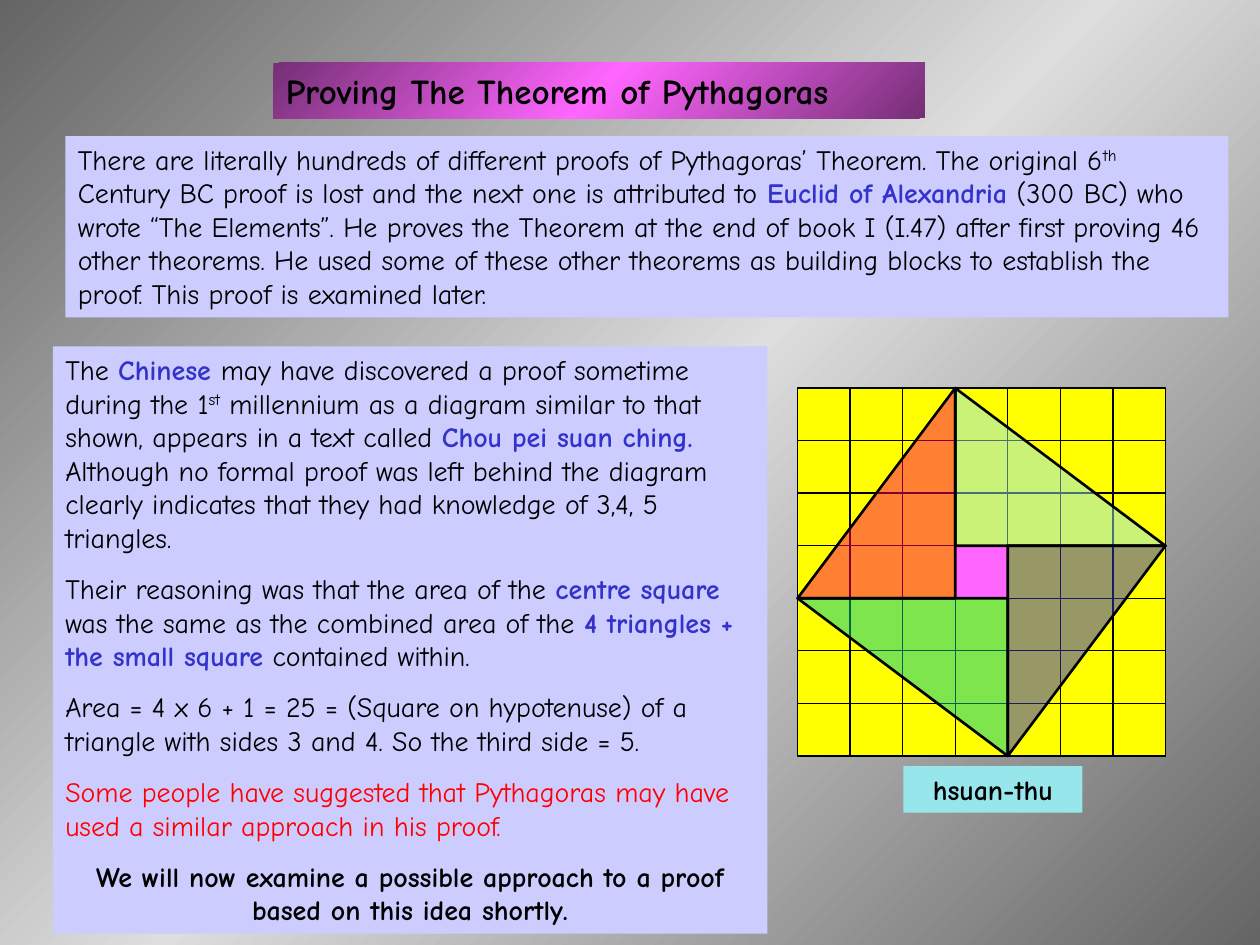
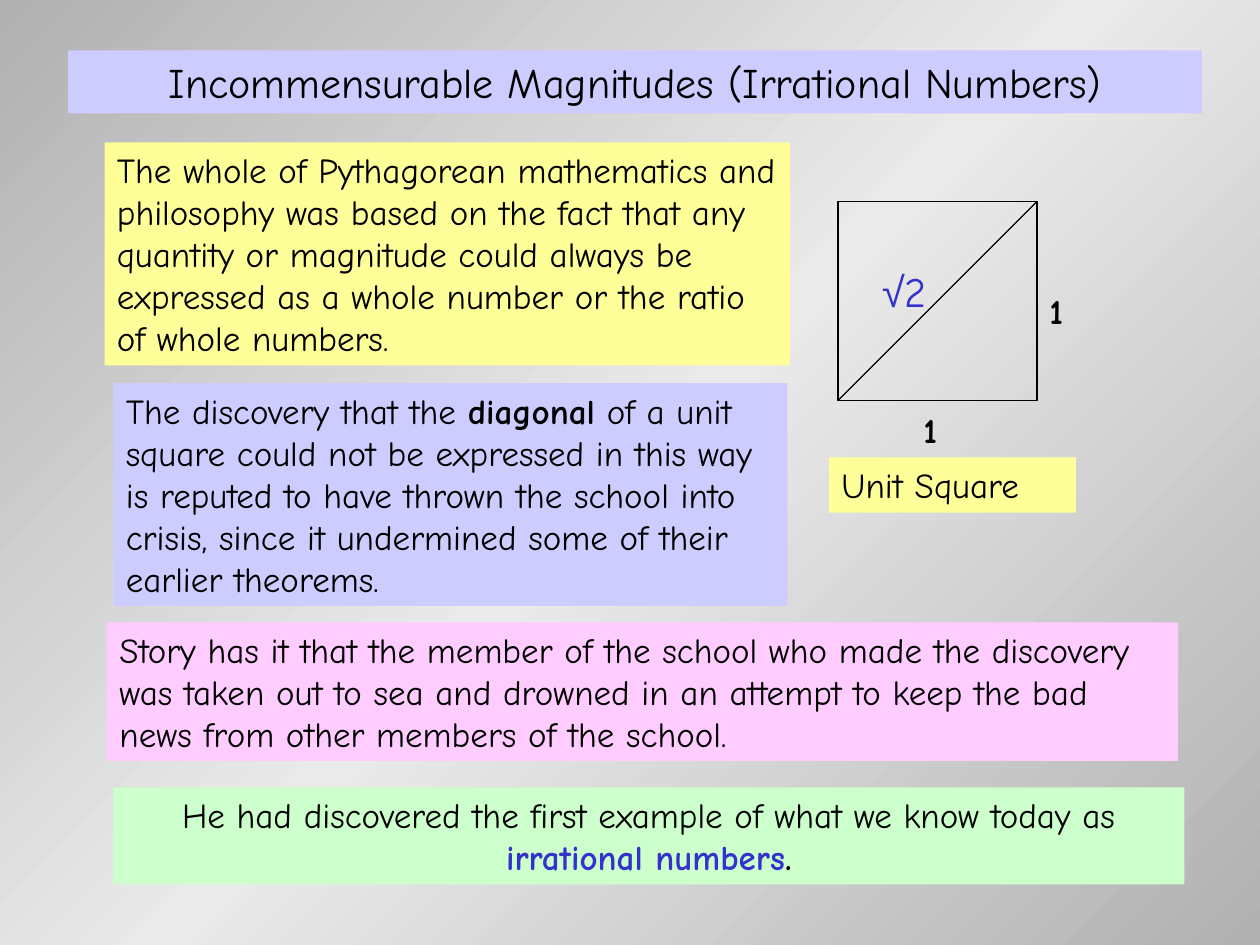
import copy
from dataclasses import dataclass
from typing import Any, Optional

import lxml.etree
import pptx
import pptx.dml.color
import pptx.dml.fill
import pptx.enum.shapes
import pptx.enum.text
import pptx.oxml.ns
import pptx.shapes.autoshape
import pptx.slide
import pptx.util
from pptx.util import Inches

LEFT = pptx.enum.text.PP_ALIGN.LEFT
CENTER = pptx.enum.text.PP_ALIGN.CENTER
RECTANGLE = pptx.enum.shapes.MSO_SHAPE.RECTANGLE
qn = pptx.oxml.ns.qn


@dataclass(frozen=True)
class Theme:
    font: str = "Comic Neue"
    symbol_font: str = "Arial"
    ink: str = "000000"
    accent: str = "3333CC"
    warning: str = "FF0000"
    lilac: str = "CCCCFF"
    lemon: str = "FFFF99"
    rose: str = "FFCCFF"
    mint: str = "CCFFCC"
    aqua: str = "96E6EC"
    grid: str = "FFFF00"
    magenta: str = "FF66FF"
    plum: str = "752F75"
    triangles: tuple[str, ...] = ("96E6EC", "3333CC", "00CC99", "FF0066")
    dark_metal: tuple[str, ...] = ("656565", "DDDDDD", "656565")
    light_metal: tuple[str, ...] = ("B1B1B1", "EAEAEA", "B1B1B1")
    small: int = 16
    medium: int = 20
    large: int = 24
    thin: float = 0.75
    thick: float = 1.5


THEME = Theme()


@dataclass(frozen=True)
class Run:
    text: str
    color: str = THEME.ink
    bold: bool = False
    raised: bool = False
    font: str = THEME.font


@dataclass(frozen=True)
class Paragraph:
    runs: tuple[Run, ...]
    alignment: Any = LEFT


@dataclass(frozen=True)
class TextBox:
    left: float
    top: float
    width: float
    height: float
    size: int
    paragraphs: tuple[Paragraph, ...]
    fill: Optional[str] = None


def line_of(*runs: Run, alignment: Any = LEFT) -> Paragraph:
    return Paragraph(runs, alignment)


def key(text: str) -> Run:
    """A highlighted term."""
    return Run(text, THEME.accent, bold=True)


def rgb(color: str) -> pptx.dml.color.RGBColor:
    return pptx.dml.color.RGBColor.from_string(color)


def set_values(target: Any, values: dict[str, Any]) -> None:
    for name, value in values.items():
        setattr(target, name, value)


def fill_gradient(fill: pptx.dml.fill.FillFormat, element: Any, colors: tuple[str, ...]) -> None:
    """Spread three colours evenly along the falling diagonal."""
    fill.gradient()
    fill.gradient_angle = 135
    stop_list = next(element.iter(qn("a:gsLst")))
    stop_list.insert(1, copy.deepcopy(stop_list[0]))
    for index, (stop, color) in enumerate(zip(fill.gradient_stops, colors)):
        stop.color.rgb = rgb(color)
        stop.position = index / (len(colors) - 1)


def fill_solid(shape: pptx.shapes.autoshape.Shape, color: str) -> None:
    shape.fill.solid()
    shape.fill.fore_color.rgb = rgb(color)


def outline(shape: Any, width: float) -> None:
    shape.line.color.rgb = rgb(THEME.ink)
    shape.line.width = pptx.util.Pt(width)


def add_text_box(slide: pptx.slide.Slide, box: TextBox) -> pptx.shapes.autoshape.Shape:
    place = [Inches(value) for value in (box.left, box.top, box.width, box.height)]
    if box.fill:
        shape = slide.shapes.add_shape(RECTANGLE, *place)
        shape.shadow.inherit = False
        fill_solid(shape, box.fill)
        shape.line.fill.background()
    else:
        shape = slide.shapes.add_textbox(*place)
    frame = shape.text_frame
    set_values(frame, {
        "word_wrap": True,
        "vertical_anchor": pptx.enum.text.MSO_ANCHOR.TOP,
        "auto_size": pptx.enum.text.MSO_AUTO_SIZE.SHAPE_TO_FIT_TEXT,
    })
    for index, content in enumerate(box.paragraphs):
        paragraph = frame.add_paragraph() if index else frame.paragraphs[0]
        paragraph.alignment = content.alignment
        paragraph.space_before = pptx.util.Pt(10 if index else 0)
        for part in content.runs:
            run = paragraph.add_run()
            run.text = part.text
            set_values(run.font, {
                "name": part.font, "size": pptx.util.Pt(box.size), "bold": part.bold,
            })
            run.font.color.rgb = rgb(part.color)
            if part.raised:
                run.font._element.set("baseline", "30000")
    return shape


def add_slide(presentation: Any, background: tuple[str, ...]) -> pptx.slide.Slide:
    slide = presentation.slides.add_slide(presentation.slide_layouts[6])
    fill_gradient(slide.background.fill, slide.element, background)
    return slide


def add_hsuan_thu(slide: pptx.slide.Slide) -> None:
    """A 7 by 7 grid with four 3-4-5 triangles turned around its centre cell."""
    count = 7
    left, top, cell = Inches(6.33), Inches(3.08), Inches(2.92) / count
    for row in range(count):
        for column in range(count):
            square = slide.shapes.add_shape(
                RECTANGLE, round(left + column * cell), round(top + row * cell),
                round(cell), round(cell))
            square.shadow.inherit = False
            centre = row == column == count // 2
            fill_solid(square, THEME.magenta if centre else THEME.grid)
            outline(square, THEME.thin)

    corners = [(3, 0), (3, 3), (7, 3)]
    for color in THEME.triangles:
        points = [(round(left + x * cell), round(top + y * cell)) for x, y in corners]
        builder = slide.shapes.build_freeform(*points[0])
        builder.add_line_segments(points[1:], close=True)
        triangle = builder.convert_to_shape()
        triangle.shadow.inherit = False
        fill_solid(triangle, color)
        tone = next(triangle.element.spPr.iter(qn("a:srgbClr")))
        lxml.etree.SubElement(tone, qn("a:alpha")).set("val", "50000")
        outline(triangle, THEME.thick)
        corners = [(count - y, x) for x, y in corners]


def add_unit_square(slide: pptx.slide.Slide) -> None:
    left, top, side = Inches(6.65), Inches(1.6), Inches(1.58)
    square = slide.shapes.add_shape(RECTANGLE, left, top, side, side)
    square.shadow.inherit = False
    square.fill.background()
    outline(square, THEME.thin)
    diagonal = slide.shapes.add_connector(
        pptx.enum.shapes.MSO_CONNECTOR.STRAIGHT, left, top + side, left + side, top)
    outline(diagonal, THEME.thin)
    lxml.etree.SubElement(diagonal.element.spPr, qn("a:effectLst"))


PROOF_TITLE = TextBox(2.17, 0.5, 5.17, 0.44, THEME.medium, (
    line_of(Run("Proving The Theorem of Pythagoras", bold=True)),
), THEME.magenta)

PROOF_BOXES = (
    TextBox(0.52, 1.08, 9.23, 1.44, THEME.small, (
        line_of(
            Run("There are literally hundreds of different proofs of Pythagoras’ Theorem. "
                "The original 6"),
            Run("th", raised=True),
            Run(" Century BC proof is lost and the next one is attributed to "),
            key("Euclid of Alexandria"),
            Run(" (300 BC) who wrote “The Elements”. He proves the Theorem at the end of "
                "book I (I.47) after first proving 46 other theorems. He used some of these "
                "other theorems as building blocks to establish the proof. This proof is "
                "examined later.")),
    ), THEME.lilac),
    TextBox(0.42, 2.75, 5.67, 4.66, THEME.small, (
        line_of(
            Run("The "), key("Chinese "),
            Run("may have discovered a proof sometime during the 1"),
            Run("st", raised=True),
            Run(" millennium as a diagram similar to that shown, appears in a text called "),
            key("Chou pei suan ching."),
            Run(" Although no formal proof was left behind the diagram clearly indicates "
                "that they had knowledge of 3,4, 5 triangles.")),
        line_of(
            Run("Their reasoning was that the area of the "), key("centre square"),
            Run(" was the same as the combined area of the "),
            key("4 triangles + the small square"), Run(" contained within.")),
        line_of(Run("Area = 4 x 6 + 1 = 25 = (Square on hypotenuse) of a triangle with "
                    "sides 3 and 4. So the third side = 5.")),
        line_of(Run("Some people have suggested that Pythagoras may have used a similar "
                    "approach in his proof.", THEME.warning)),
        line_of(Run("We will now examine a possible approach to a proof based on this idea "
                    "shortly.", bold=True), alignment=CENTER),
    ), THEME.lilac),
    TextBox(7.17, 6.08, 1.42, 0.37, THEME.small, (
        line_of(Run("hsuan-thu", bold=True), alignment=CENTER),
    ), THEME.aqua),
)

UNIT_LENGTH = (line_of(Run("1", bold=True)),)

IRRATIONAL_BOXES = (
    TextBox(0.54, 0.4, 9, 0.5, THEME.large, (
        line_of(Run("Incommensurable Magnitudes (Irrational Numbers)"), alignment=CENTER),
    ), THEME.lilac),
    TextBox(8.23, 2.25, 0.69, 0.44, THEME.medium, UNIT_LENGTH),
    TextBox(7.23, 3.19, 0.69, 0.44, THEME.medium, UNIT_LENGTH),
    TextBox(6.9, 2.06, 0.9, 0.5, THEME.large, (
        line_of(Run("√", THEME.accent, font=THEME.symbol_font), Run("2", THEME.accent)),
    )),
    TextBox(0.83, 1.13, 5.44, 1.77, THEME.medium, (
        line_of(Run("The whole of Pythagorean mathematics and philosophy was based on the "
                    "fact that any quantity or magnitude could always be expressed as a "
                    "whole number or the ratio of whole numbers.")),
    ), THEME.lemon),
    TextBox(6.58, 3.63, 1.96, 0.44, THEME.medium, (
        line_of(Run("Unit Square")),
    ), THEME.lemon),
    TextBox(0.9, 3.04, 5.35, 1.77, THEME.medium, (
        line_of(
            Run("The discovery that the "), Run("diagonal", bold=True),
            Run(" of a unit square could not be expressed in this way is reputed to have "
                "thrown the school into crisis, since it undermined some of their earlier "
                "theorems.")),
    ), THEME.lilac),
    TextBox(0.85, 4.94, 8.5, 1.1, THEME.medium, (
        line_of(Run("Story has it that the member of the school who made the discovery was "
                    "taken out to sea and drowned in an attempt to keep the bad news from "
                    "other members of the school.")),
    ), THEME.rose),
    TextBox(0.9, 6.25, 8.5, 0.77, THEME.medium, (
        line_of(
            Run("He had discovered the first example of what we know today as "),
            key("irrational numbers"), Run(".", bold=True), alignment=CENTER),
    ), THEME.mint),
)


def main() -> None:
    presentation = pptx.Presentation()
    set_values(presentation, {"slide_width": Inches(10), "slide_height": Inches(7.5)})

    proof = add_slide(presentation, THEME.dark_metal)
    title = add_text_box(proof, PROOF_TITLE)
    fill_gradient(title.fill, title.element, (THEME.plum, THEME.magenta, THEME.plum))
    for box in PROOF_BOXES:
        add_text_box(proof, box)
    add_hsuan_thu(proof)

    irrational = add_slide(presentation, THEME.light_metal)
    add_unit_square(irrational)
    for box in IRRATIONAL_BOXES:
        add_text_box(irrational, box)

    presentation.save("out.pptx")


if __name__ == "__main__":
    main()
